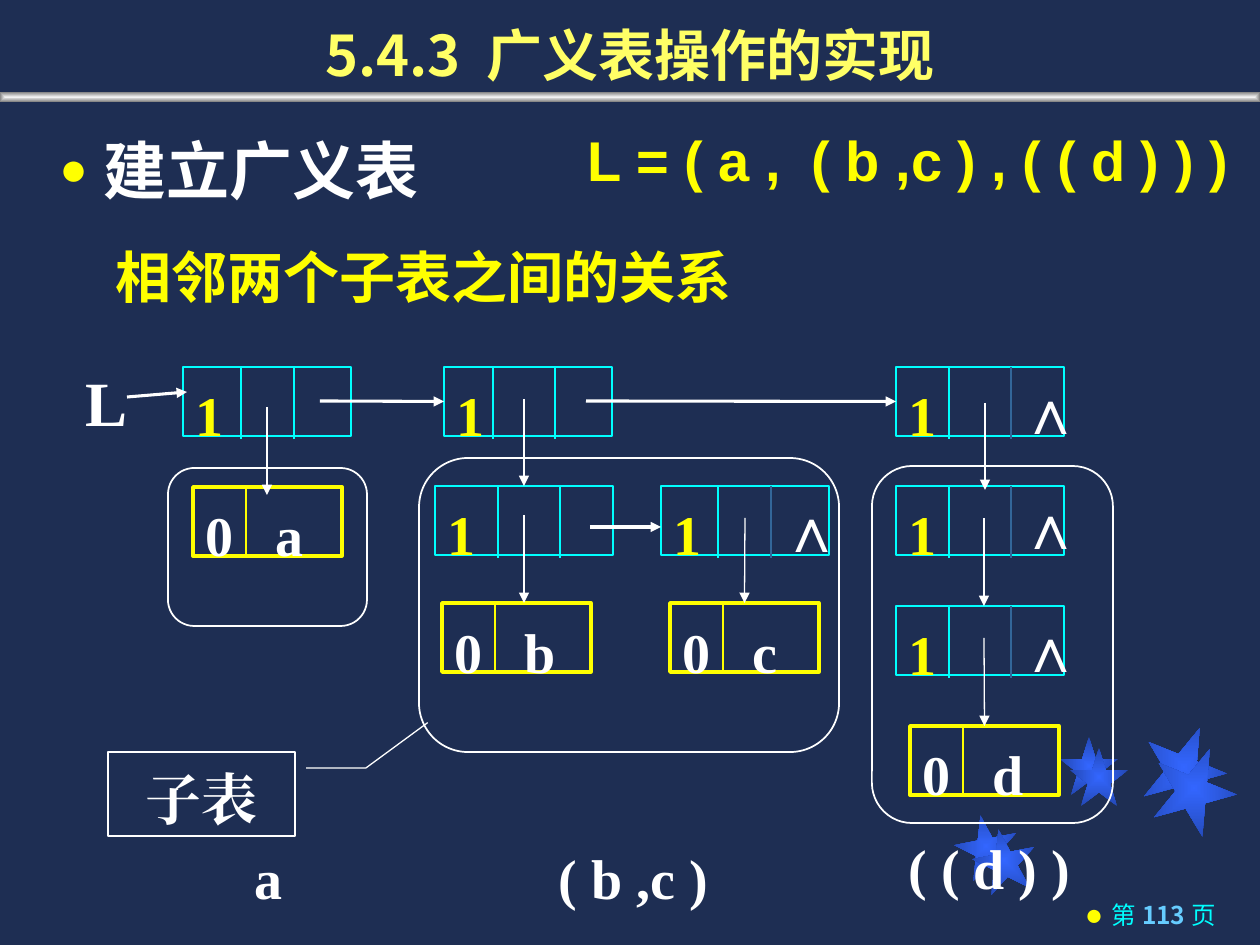
"""Build the slide on generalized list storage, with its node diagram and sublist frames."""
from lxml import etree
from pptx import Presentation
from pptx import util as u
from pptx.dml.color import RGBColor
from pptx.enum import shapes, text
from pptx.oxml import parse_xml
from pptx.oxml.ns import nsdecls, qn

PX = 914400 / 126
WHITE, YELLOW, CYAN, STEEL = "FFFFFF", "FFFF00", "00FFFF", "336699"
SERIF, SANS, CJK = "Times New Roman", "Arial", "Noto Sans CJK SC"
MSO, AL, ANC = shapes.MSO_SHAPE, text.PP_ALIGN, text.MSO_ANCHOR
rgb = RGBColor.from_string

prs = Presentation()
prs.slide_width, prs.slide_height = int(1260 * PX), int(945 * PX)
s = prs.slides.add_slide(prs.slide_layouts[6])
s.background.fill.solid()
s.background.fill.fore_color.rgb = rgb("1E2E53")


def add(box, runs=(), kind=None, line=None, width=1, size=32, font=SERIF, bold=True,
        align=AL.LEFT, anchor=ANC.TOP, top=14, wrap=False, ppr=None, children=()):
    """Add a shape or text box, with runs given as (text, colour) pairs."""
    x, y, w, h = [int(v * PX) for v in box]
    if kind is None:
        sp = s.shapes.add_textbox(x, y, w, h)
    else:
        sp = s.shapes.add_shape(kind, x, y, w, h)
        sp.shadow.inherit = False
        sp.fill.background()
        if line:
            sp.line.color.rgb = rgb(line)
            sp.line.width = u.Pt(width)
        else:
            sp.line.fill.background()
    tf = sp.text_frame
    tf.word_wrap, tf.vertical_anchor, tf.margin_top = wrap, anchor, int(top * PX)
    p = tf.paragraphs[0]
    p.alignment = align
    for name, v in (ppr or {}).items():
        p._p.get_or_add_pPr().set(name, str(int(v * PX)))
    for xml in children:
        p._p.get_or_add_pPr().append(parse_xml(xml))
    for words, color in runs:
        r = p.add_run()
        r.text = words
        for k, v in {"size": u.Pt(size), "name": font, "bold": bold}.items():
            setattr(r.font, k, v)
        r.font.color.rgb = rgb(color)
        etree.SubElement(r._r.get_or_add_rPr(), qn("a:ea")).set("typeface", font)
    return sp


def connect(x1, y1, x2, y2, color=WHITE, width=0.75, arrow=True, to=None, side=0):
    """Draw a straight line, optionally with an arrowhead and joined to a shape."""
    c = s.shapes.add_connector(shapes.MSO_CONNECTOR.STRAIGHT,
                               *[int(v * PX) for v in (x1, y1, x2, y2)])
    c.line.color.rgb = rgb(color)
    c.line.width = u.Pt(width)
    if arrow:
        etree.SubElement(c.line._get_or_add_ln(), qn("a:tailEnd")).set("type", "triangle")
    etree.SubElement(c._element.spPr, qn("a:effectLst"))
    if to is not None:
        c.end_connect(to, side)


BLUE = ("3366FF", "2449B6")
STAR = MSO.STAR_5_POINT
for kind, box, turn, stops in [
    (STAR, (955, 815, 63, 63), 349, BLUE), (STAR, (1060, 737, 58, 58), 0, BLUE),
    (STAR, (1142, 725, 84, 84), 22, BLUE), (STAR, (973, 829, 63, 63), 349, BLUE),
    (STAR, (1070, 748, 58, 58), 0, BLUE), (STAR, (1152, 746, 84, 84), 22, BLUE),
    (MSO.RECTANGLE, (0, 92, 1260, 10), 0, ("F2F2F2", "808080")),
]:
    sp = add(box, kind=kind)
    sp.rotation = turn
    sp.fill.gradient()
    for stop, color in zip(sp.fill.gradient_stops, stops):
        stop.color.rgb = rgb(color)
    grad = sp._element.spPr.find(qn("a:gradFill"))
    grad.replace(grad.find(qn("a:lin")), parse_xml(
        f'<a:path {nsdecls("a")} path="shape">'
        '<a:fillToRect l="50000" t="50000" r="50000" b="50000"/></a:path>'))

NS = nsdecls("a")
bullets = {pct: [f'<a:buClr {NS}><a:srgbClr val="{YELLOW}"/></a:buClr>',
                 f'<a:buSzPct {NS} val="{pct}000"/>',
                 f'<a:buFont {NS} typeface="{SANS}"/>',
                 f'<a:buChar {NS} char="●"/>'] for pct in (75, 125)}
tab = [f'<a:tabLst {NS}><a:tab pos="{int(70 * PX)}" algn="l"/></a:tabLst>']

add((897, 900, 331, 45), [("第 ", CYAN), ("113 ", "66CCFF"), ("页", CYAN)], size=14, font=CJK,
    bold=False, align=AL.RIGHT, top=0, wrap=True, ppr={"marL": 27, "indent": -27},
    children=bullets[125]).text_frame.paragraphs[0].runs[1].font.bold = True
add((0, 0, 1260, 94), [("5.4.3  广义表操作的实现", "FFFF66")], font=CJK, align=AL.CENTER,
    anchor=ANC.BOTTOM, top=6, wrap=True)
add((47, 125, 1172, 81), [("建立广义表", WHITE)], size=36, font=SANS, top=6, wrap=True,
    ppr={"marL": 44, "indent": -44}, children=bullets[75])
add((103, 232, 1091, 161), [("相邻两个子表之间的关系", YELLOW)], font=SANS, top=11, wrap=True)
add((575, 111, 672, 91), [("L = ( a ,  ( b ,c ) , ( ( d ) ) )", YELLOW)], font=SANS, top=15)

for box in [(419, 458, 420, 294), (168, 468, 199, 158), (872, 466, 241, 357)]:
    add(box, kind=MSO.FLOWCHART_ALTERNATE_PROCESS, line=WHITE)
for box, words, top in [((882, 820, 215, 79), "( ( d ) )", 14),
                        ((546, 820, 175, 97), "( b ,c )", 23), ((242, 820, 53, 97), "a", 23)]:
    add(box, [(words, WHITE)], align=AL.CENTER, top=top)
callout = add((108, 752, 187, 84), [("子表", WHITE)], kind=MSO.LINE_CALLOUT_2, line=WHITE,
              width=0.75, align=AL.CENTER, anchor=ANC.MIDDLE, wrap=True)
for i, v in enumerate((0.19, 1.06, 0.19, 1.38, -0.35, 1.71)):
    callout.adjustments[i] = v

add((73, 350, 68, 88), [("L", WHITE)], size=36)
nodes = {}
for name, x, y, w, cuts, last in [
    ("first", 183, 367, 168, (241, 294), CYAN), ("second", 444, 367, 168, (493, 555), CYAN),
    ("third", 896, 367, 168, (949, 1011), STEEL), ("b", 435, 486, 178, (498, 560), CYAN),
    ("c", 661, 486, 168, (718, 771), STEEL), ("d", 896, 486, 168, (949, 1011), STEEL),
    ("inner d", 896, 606, 168, (949, 1011), STEEL),
]:
    nodes[name] = add((x, y, w, 69), [("1", YELLOW)], kind=MSO.RECTANGLE, line=CYAN,
                      width=1.5, wrap=True)
    for cut, color in zip(cuts, (CYAN, last)):
        connect(cut, y, cut, y + 72, color, arrow=False)
atoms = {}
for name, x, y in [("a", 193, 487), ("b", 442, 603), ("c", 670, 603), ("d", 910, 726)]:
    atoms[name] = add((x, y, 149, 69), [("0\t" + name, WHITE)], kind=MSO.RECTANGLE,
                      line=YELLOW, width=2, wrap=True, children=tab)
    connect(x + 53, y, x + 53, y + 69, YELLOW, arrow=False)
for x, y in [(1007, 358), (1007, 473), (1007, 596), (768, 476)]:
    add((x, y, 63, 88), [("∧", WHITE)], size=36, bold=False)

for x1, y1, x2, y2, to in [(127, 397, 187, 392, None), (320, 401, 444, 401, nodes["second"]),
                           (586, 401, 896, 401, nodes["third"]), (590, 527, 661, 527, None)]:
    connect(x1, y1, x2, y2, width=1.75, to=to, side=1)
for x, y1, y2, to in [
    (267, 407, 495, None), (524, 399, 486, nodes["b"]), (985, 403, 490, None),
    (524, 515, 603, None), (745, 518, 603, atoms["c"]), (984, 518, 606, None),
    (984, 638, 726, atoms["d"]),
]:
    connect(x, y1, x, y2, to=to)

prs.save("out.pptx")
